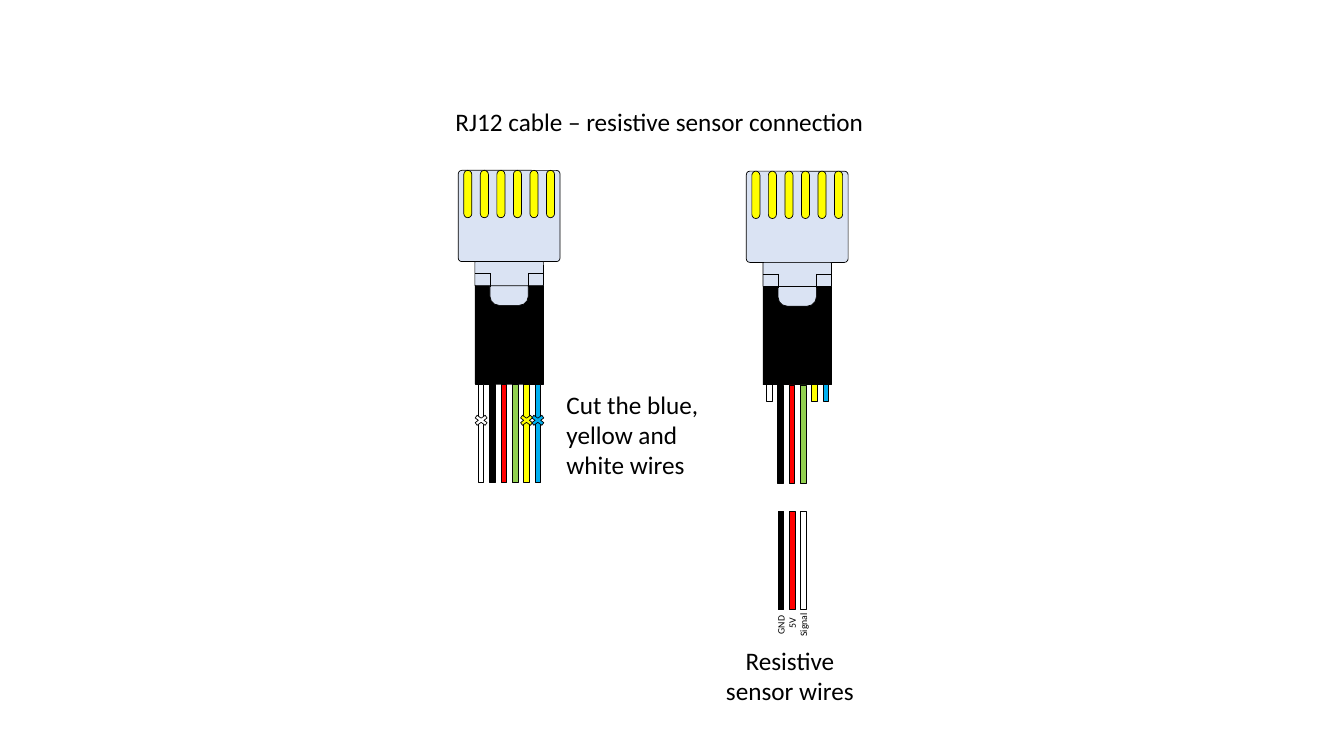
from pptx import Presentation
from pptx.dml.color import RGBColor
from pptx.enum.shapes import MSO_CONNECTOR, MSO_SHAPE
from pptx.enum.text import MSO_AUTO_SIZE, PP_ALIGN
from pptx.oxml.ns import qn
from pptx.util import Inches, Pt

RECT = MSO_SHAPE.RECTANGLE
ROUND = MSO_SHAPE.ROUNDED_RECTANGLE
CROSS = MSO_SHAPE.MATH_MULTIPLY
LINE = MSO_CONNECTOR.STRAIGHT
LEFT, MID = PP_ALIGN.LEFT, PP_ALIGN.CENTER
GROW = MSO_AUTO_SIZE.SHAPE_TO_FIT_TEXT

BLACK, WHITE, RED, GREEN = "000000", "FFFFFF", "FF0000", "92D050"
YELLOW, BLUE, PALE = "FFFF00", "00B0F0", "DAE3F3"
WIRES = [WHITE, BLACK, RED, GREEN, YELLOW, BLUE]
CUT = [WHITE, YELLOW, BLUE]
LEADS = [("GND", BLACK, 43, 620), ("5V", RED, 35, 618), ("Signal", WHITE, 50, 620)]

# Grid of 1333 columns by 750 rows
deck = Presentation()
deck.slide_width, deck.slide_height = Inches(13.33), Inches(7.5)
COL, ROW = deck.slide_width / 1333, deck.slide_height / 750
STEP, THICK, LONG, SHORT = 11.25, 5.4, 98, 16


def grid(x, y, w, h):
    return [round(n * unit) for n, unit in zip((x, y, w, h), (COL, ROW, COL, ROW))]


def tint(code):
    return RGBColor.from_string(code)


def part(slide, kind, box, fill, curve=None):
    shape = slide.shapes.add_shape(kind, *grid(*box))
    shape.shadow.inherit = False
    shape.fill.solid()
    shape.fill.fore_color.rgb = tint(fill)
    shape.line.color.rgb = tint(BLACK)
    shape.line.width = Pt(0.5)
    if curve is not None:
        shape.adjustments[0] = curve


def rule(slide, x, y, x2, y2):
    line = slide.shapes.add_connector(LINE, *grid(x, y, x2, y2))
    line.line.color.rgb = tint(BLACK)
    line.line.width = Pt(0.5)
    props = line._element.spPr
    props.append(props.makeelement(qn("a:effectLst"), {}))


def text(slide, words, box, size=18, align=MID, turn=0):
    frame = slide.shapes.add_textbox(*grid(*box))
    frame.rotation = turn
    body = frame.text_frame
    body.word_wrap = True
    body.auto_size = GROW
    para = body.paragraphs[0]
    para.alignment = align
    run = para.add_run()
    run.text = words
    run.font.name = "Calibri"
    run.font.size = Pt(size)
    run.font.color.rgb = tint(BLACK)


def plug(slide, box):
    x, y, w, h = box
    mid = x + w / 2
    near, far = mid - 34, mid + 34
    # Sleeve, latch and housing
    part(slide, RECT, (near, y + 114, 68, LONG), BLACK)
    part(slide, ROUND, (mid - 19, y + 81, 38, 53), PALE, 0.24)
    part(slide, ROUND, (x, y, w, 90.5), PALE, 0.04)
    # Contacts
    for i in range(6):
        part(slide, ROUND, (x + 5.5 + 16.4 * i, y, 8, 47), YELLOW, 0.5)
    # Neck with its two notches
    part(slide, ROUND, (near, y + 90.5, 68, 24), PALE, 0.04)
    for edge, side in ((near, mid - 19), (far, mid + 19)):
        rule(slide, edge, y + 102, side, y + 102)
        rule(slide, side, y + 102, side, y + 116)


def cable(slide, box, trim):
    x, y, w, h = box
    plug(slide, box)
    spots = [(x + 20 + STEP * i, hue) for i, hue in enumerate(WIRES)]
    for left, hue in spots:
        tall = SHORT if trim and hue in CUT else LONG
        part(slide, RECT, (left, y + h - LONG, THICK, tall), hue)
    # Cut marks
    for left, hue in spots:
        if hue in CUT and not trim:
            part(slide, CROSS, (left + THICK / 2 - 9.5, y + 241, 19, 14), hue)


def sensor(slide, box):
    x, y, w, h = box
    for i, (name, hue, wide, level) in enumerate(LEADS):
        left = x + STEP * i
        part(slide, RECT, (left, y, THICK, h), hue)
        mid = left + THICK / 2
        text(slide, name, (mid - wide / 2, level - 11, wide, 22), size=7, turn=270)


page = deck.slides.add_slide(deck.slide_layouts[6])
text(page, "RJ12 cable – resistive sensor connection", (402, 101, 504, 40))
cable(page, (454.5, 169, 101, 310), trim=False)
text(page, "Cut the blue, yellow and white wires", (552, 381, 169, 101), align=LEFT)
cable(page, (740.2, 169.8, 101, 310), trim=True)
sensor(page, (771.8, 507, 28, LONG))
text(page, "Resistive sensor wires", (702, 635, 163, 71))
deck.save("out.pptx")
